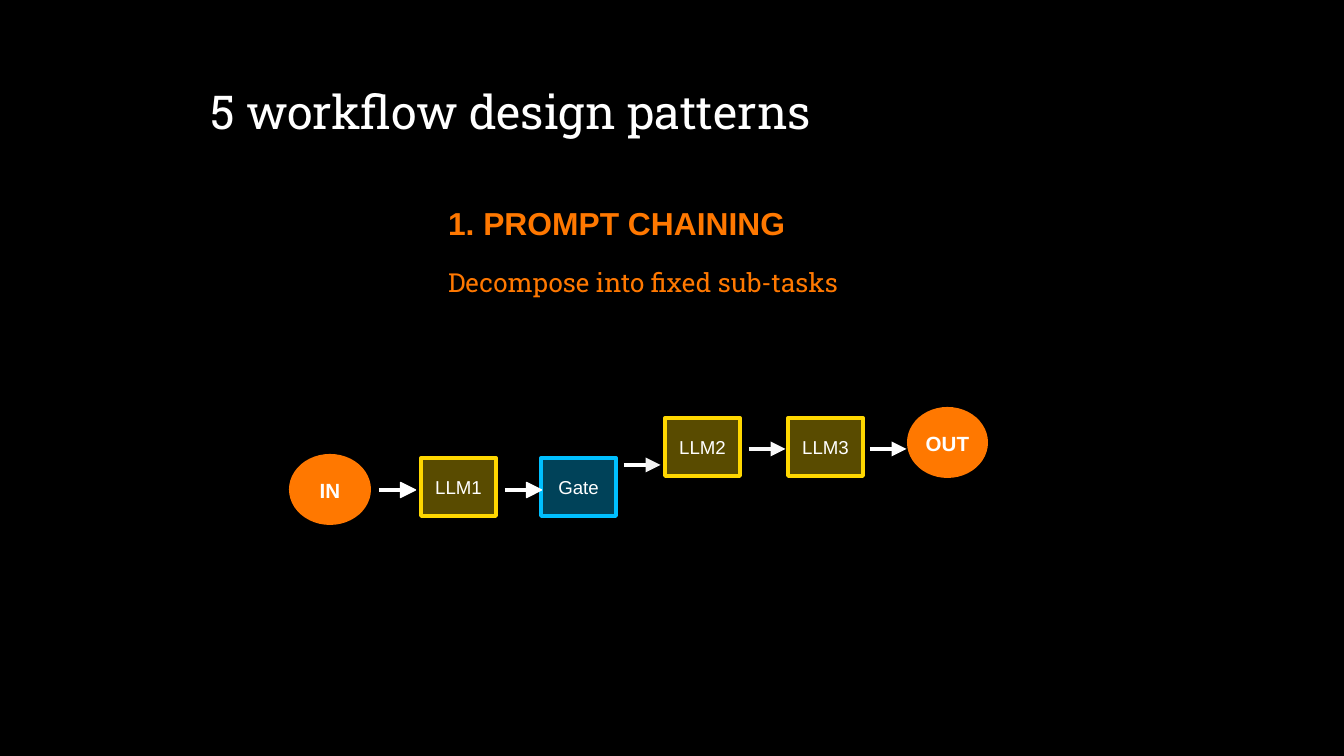
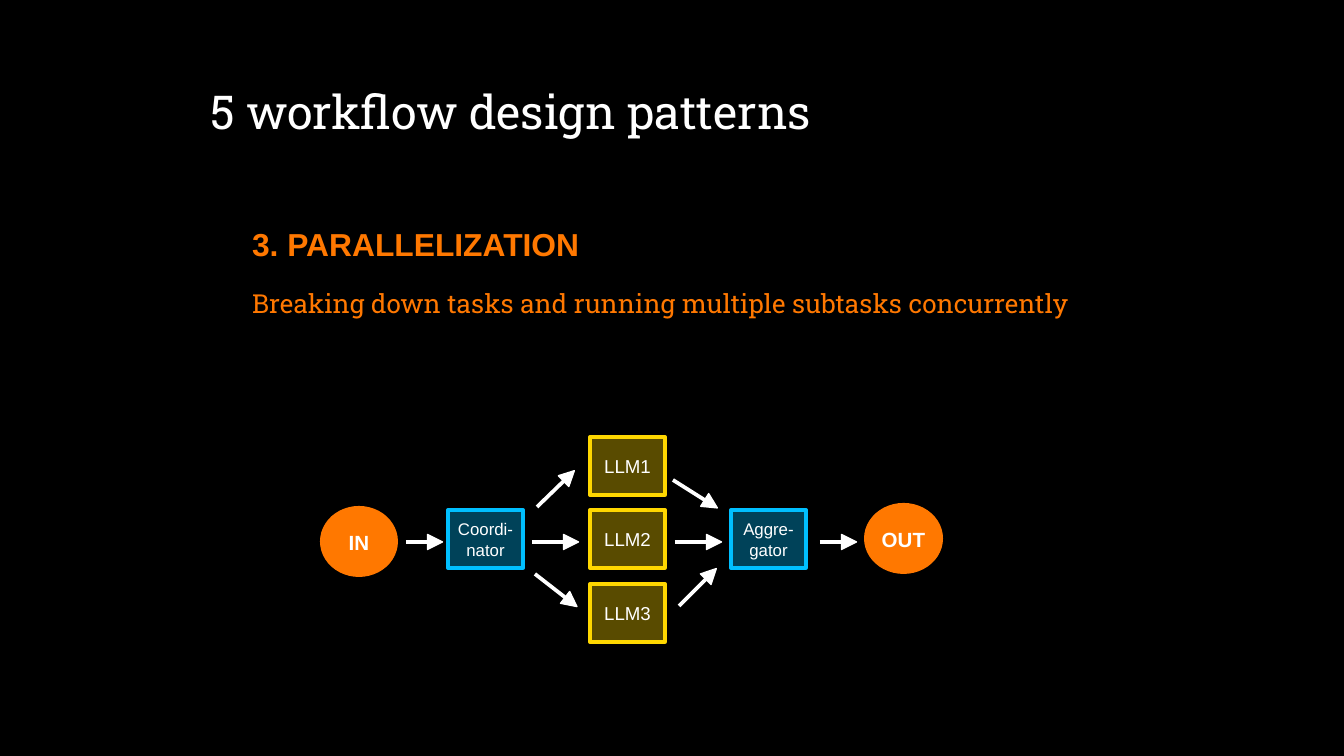
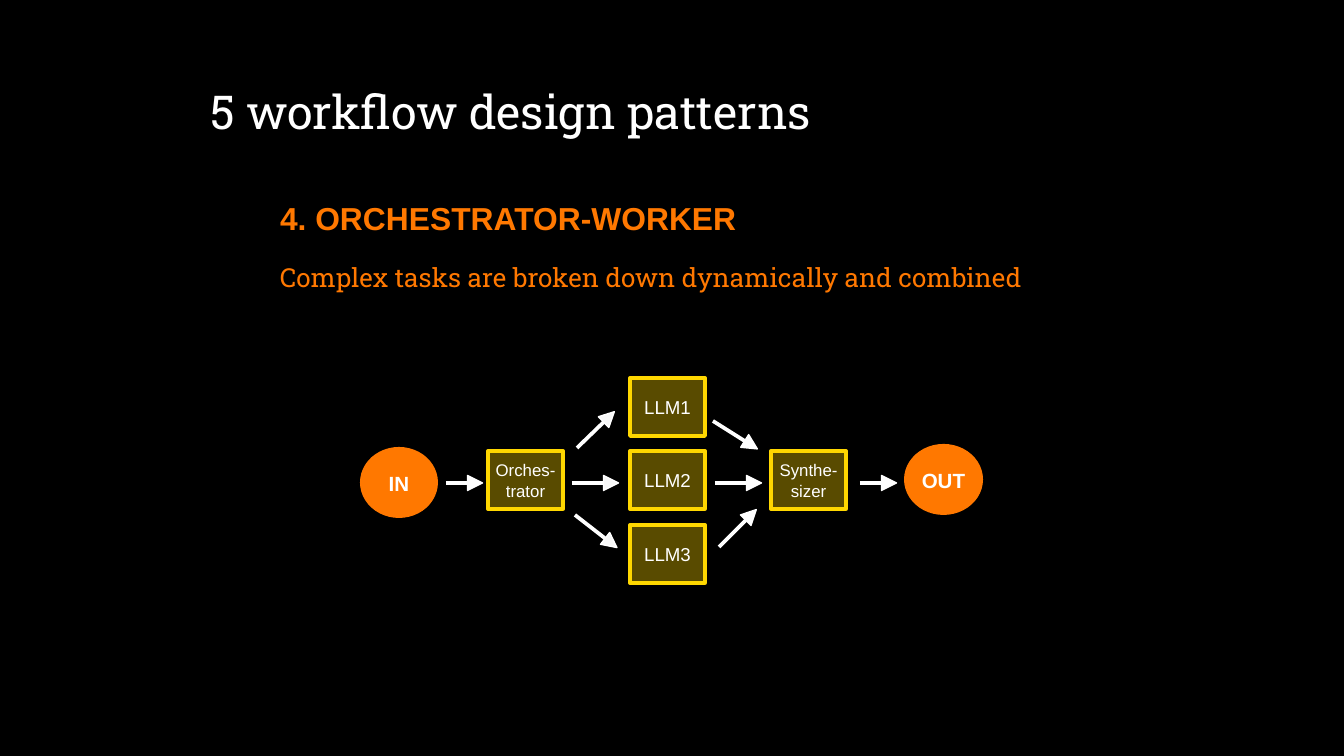
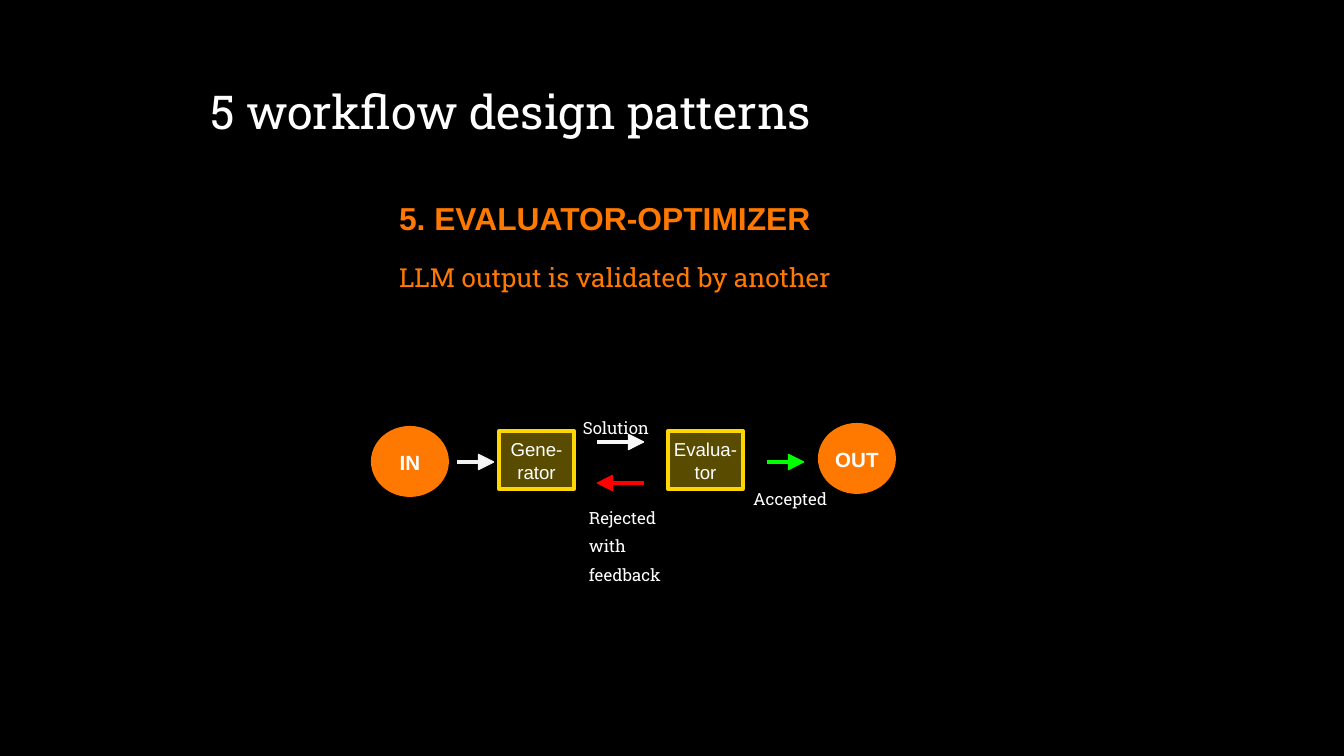
from dataclasses import dataclass
from math import atan2, degrees

from pptx import Presentation
from pptx.dml.color import RGBColor
from pptx.enum.shapes import MSO_CONNECTOR, MSO_SHAPE
from pptx.enum.text import MSO_ANCHOR, PP_ALIGN
from pptx.oxml.ns import qn
from pptx.oxml.xmlchemy import OxmlElement
from pptx.util import Pt


@dataclass(frozen=True)
class Theme:
    # colours
    black: str = "000000"
    white: str = "FFFFFF"
    pale: str = "F8F8F8"
    grey: str = "F2F2F2"
    orange: str = "FF7800"
    yellow: str = "FFD700"
    blue: str = "00BFFF"
    red: str = "FF0000"
    green: str = "00FF00"
    box_alpha: int = 35
    # fonts
    slab: str = "Roboto Slab"
    sans: str = "Arial"
    # type sizes and line widths in points
    title: int = 25
    heading: int = 17
    summary: int = 14
    terminal: int = 11
    label: int = 10
    small: int = 9
    stroke: float = 2
    head_edge: float = 0.75


T = Theme()
SLIDE_W, SLIDE_H = 1344, 756
BOX_W, BOX_H = 75, 58
TERMINAL_H = 71
HEAD = 15
SHORT, LONG = 29, 39  # arrow lengths


def px(n):
    return round(n * 914400 / 134.4)


def rgb(value):
    return RGBColor.from_string(value)


# ---- text and shape helpers ----
def write(sp, text, size, font, color, spacing, bold=False, align=None):
    tf = sp.text_frame
    tf.margin_left = tf.margin_right = tf.margin_top = tf.margin_bottom = 0
    tf.text = text
    for p in tf.paragraphs:
        p.line_spacing = spacing
        p.alignment = align
        for r in p.runs:
            r.font.size = Pt(size)
            r.font.name = font
            r.font.bold = bold
            r.font.color.rgb = rgb(color)


def add_text(slide, box, text, size, font, color, spacing, bold=False):
    sp = slide.shapes.add_textbox(*map(px, box))
    sp.text_frame.word_wrap = True
    write(sp, text, size, font, color, spacing, bold)


def add_solid(slide, kind, box, fill, line=None, width=T.stroke):
    sp = slide.shapes.add_shape(kind, *map(px, box))
    sp.shadow.inherit = False
    sp.fill.solid()
    sp.fill.fore_color.rgb = rgb(fill)
    if line:
        sp.line.color.rgb = rgb(line)
        sp.line.width = Pt(width)
    else:
        sp.line.fill.background()
    return sp


def add_label(sp, text, size, bold=False):
    sp.text_frame.word_wrap = False
    sp.text_frame.vertical_anchor = MSO_ANCHOR.MIDDLE
    write(sp, text, size, T.sans, T.white, 1.05, bold, PP_ALIGN.CENTER)


# ---- diagram parts, placed relative to the diagram's origin ----
class Diagram:
    def __init__(self, slide, x, y):
        self.slide, self.x, self.y = slide, x, y

    def terminal(self, x, y, text, width=78):
        box = (self.x + x, self.y + y, width, TERMINAL_H)
        sp = add_solid(self.slide, MSO_SHAPE.OVAL, box, T.orange)
        add_label(sp, text, T.terminal, bold=True)

    def step(self, x, y, text, color=T.yellow, size=T.label):
        box = (self.x + x, self.y + y, BOX_W, BOX_H)
        sp = add_solid(self.slide, MSO_SHAPE.RECTANGLE, box, color, color)
        alpha = OxmlElement("a:alpha")
        alpha.set("val", str(T.box_alpha * 1000))
        sp.fill._xPr.find(qn("a:solidFill"))[0].append(alpha)
        add_label(sp, text, size)

    def arrow(self, x1, y1, x2, y2, color=T.white, head=None, edged=True):
        """A line with a triangle centred on its end and turned along it."""
        ends = (self.x + x1, self.y + y1, self.x + x2, self.y + y2)
        line = self.slide.shapes.add_connector(MSO_CONNECTOR.STRAIGHT, *map(px, ends))
        line.line.color.rgb = rgb(color)
        line.line.width = Pt(T.stroke)
        line._element.spPr.append(OxmlElement("a:effectLst"))
        box = (ends[2] - HEAD / 2, ends[3] - HEAD / 2, HEAD, HEAD)
        tip = add_solid(self.slide, MSO_SHAPE.ISOSCELES_TRIANGLE, box, head or color,
                        color if edged else None, T.head_edge)
        tip.rotation = 90 + degrees(atan2(y2 - y1, x2 - x1))

    def right_arrow(self, x, y, length=SHORT, **style):
        self.arrow(x, y, x + length, y, **style)

    def note(self, x, y, w, h, text):
        add_text(self.slide, (self.x + x, self.y + y, w, h), text,
                 T.small, T.slab, T.white, 1.42)


# ---- regions ----
def pattern_slide(prs, x, y, heading, summary, summary_w=529):
    slide = prs.slides.add_slide(prs.slide_layouts[6])
    slide.background.fill.solid()
    slide.background.fill.fore_color.rgb = rgb(T.black)
    add_text(slide, (210, 75, 1087, 52), "5 workflow design patterns",
             T.title, T.slab, T.white, 1.14)
    add_text(slide, (x, y, 529, 34), heading, T.heading, T.sans, T.orange, 1.05, bold=True)
    add_text(slide, (x, y + 51, summary_w, 31), summary, T.summary, T.slab, T.orange, 1.42)
    return slide


def chain_diagram(slide, x, y):
    d = Diagram(slide, x, y)
    d.terminal(0, 47, "IN", 82)
    d.terminal(618, 0, "OUT", 81)
    d.step(132, 51, "LLM1")
    d.step(252, 51, "Gate", T.blue)
    d.step(376, 11, "LLM2")
    d.step(499, 11, "LLM3")
    for left in (90, 216):
        d.right_arrow(left, 83)
    d.right_arrow(335, 58, head=T.grey, edged=False)
    d.right_arrow(460, 42, color=T.pale, edged=False)
    d.right_arrow(581, 42, edged=False)


def fan_diagram(slide, x, y, splitter, joiner, color, worker_head=T.white):
    d = Diagram(slide, x, y)
    d.terminal(0, 69, "IN")
    d.terminal(544, 66, "OUT", 79)
    d.step(128, 73, splitter, color, T.small)
    d.step(411, 73, joiner, color, T.small)
    for i in range(3):
        d.step(270, i * 147 // 2, f"LLM{i + 1}")
    # in and out
    d.right_arrow(86, 105)
    d.right_arrow(500, 105)
    # splitter to workers
    for ends in ((217, 70, 249, 39), (212, 105, 212 + LONG, 105), (215, 137, 251, 165)):
        d.arrow(*ends, head=worker_head)
    # workers to joiner
    for ends in ((353, 43, 391, 67), (355, 105, 355 + LONG, 105), (359, 169, 391, 137)):
        d.arrow(*ends)


def feedback_diagram(slide, x, y):
    d = Diagram(slide, x, y)
    d.terminal(0, 17, "IN")
    d.terminal(447, 14, "OUT")
    d.step(128, 22, "Gene-\nrator")
    d.step(297, 22, "Evalua-\ntor")
    d.right_arrow(86, 53, color=T.grey, head=T.pale)
    d.right_arrow(226, 33, LONG, color=T.pale)
    d.right_arrow(273, 74, -LONG, color=T.red)
    d.right_arrow(396, 53, color=T.green)
    d.note(212, 0, 75, 17, "Solution")
    d.note(382, 71, 75, 17, "Accepted")
    d.note(218, 90, 94, 54, "Rejected with feedback")


def main():
    prs = Presentation()
    prs.slide_width, prs.slide_height = px(SLIDE_W), px(SLIDE_H)

    slide = pattern_slide(prs, 448, 202, "1. PROMPT CHAINING",
                          "Decompose into fixed sub-tasks")
    chain_diagram(slide, 289, 407)

    slide = pattern_slide(prs, 252, 223, "3. PARALLELIZATION",
                          "Breaking down tasks and running multiple subtasks concurrently", 847)
    fan_diagram(slide, 320, 437, "Coordi-\nnator", "Aggre-\ngator", T.blue)

    slide = pattern_slide(prs, 280, 197, "4. ORCHESTRATOR-WORKER",
                          "Complex tasks are broken down dynamically and combined", 785)
    fan_diagram(slide, 360, 378, "Orches-\ntrator", "Synthe-\nsizer", T.yellow, T.pale)

    slide = pattern_slide(prs, 399, 197, "5. EVALUATOR-OPTIMIZER",
                          "LLM output is validated by another")
    feedback_diagram(slide, 371, 409)

    prs.save("out.pptx")


if __name__ == "__main__":
    main()
